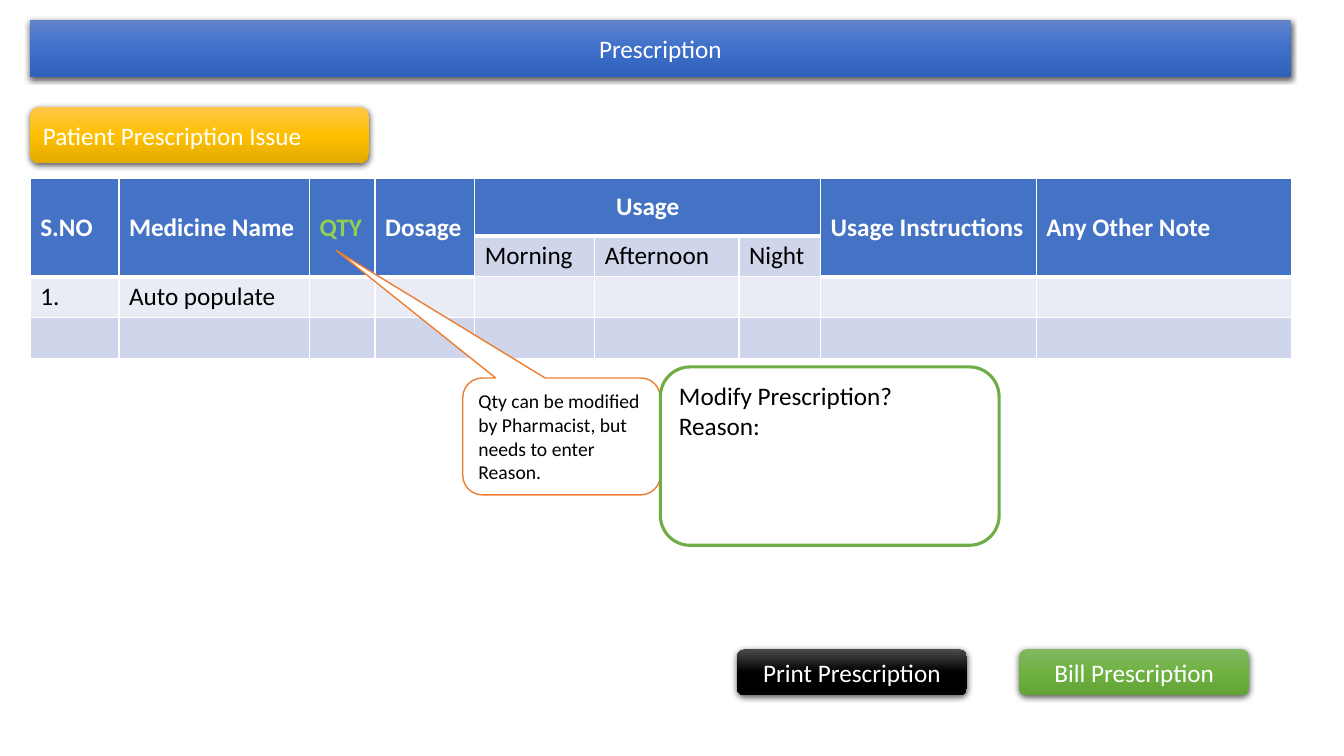
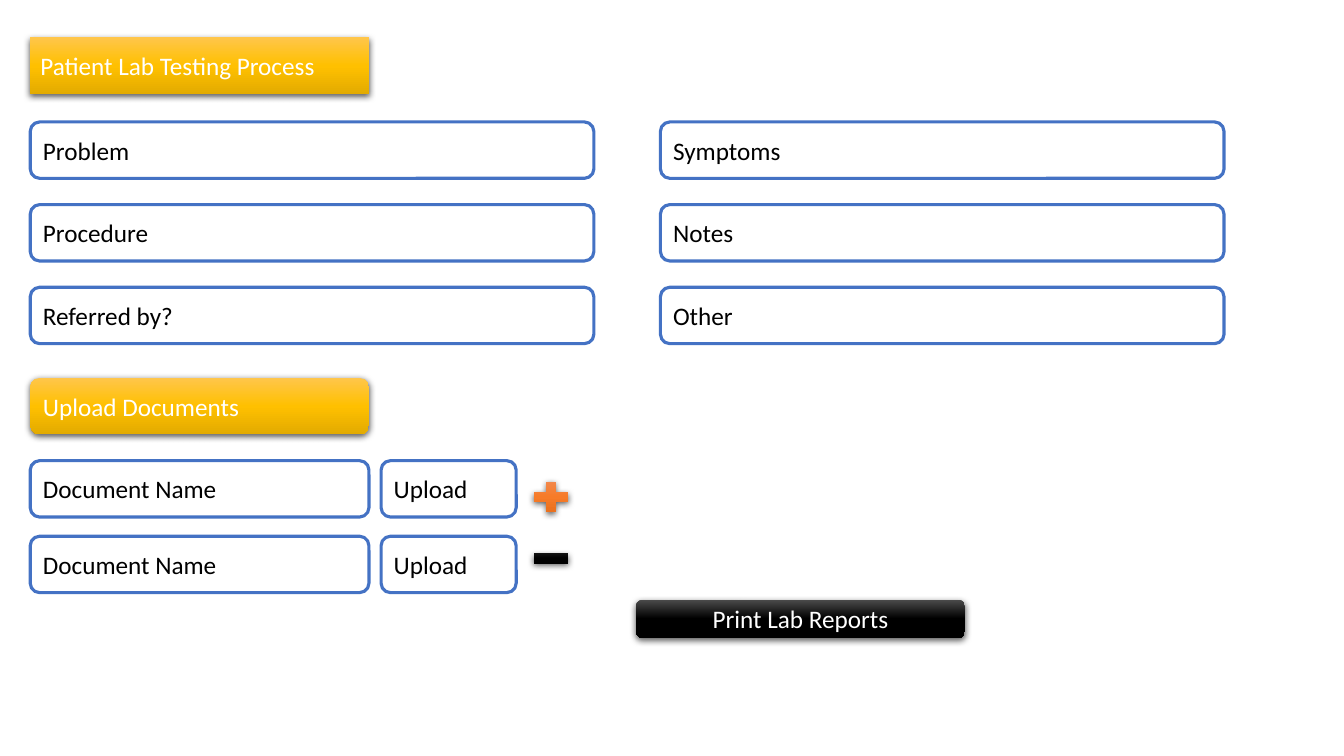
from copy import deepcopy

from lxml import etree
from pptx import Presentation
from pptx.dml.color import RGBColor
from pptx.enum.shapes import MSO_SHAPE
from pptx.enum.text import MSO_ANCHOR, PP_ALIGN
from pptx.oxml import parse_xml
from pptx.oxml.ns import nsdecls, qn
from pptx.util import Inches, Pt

ROUNDED = MSO_SHAPE.ROUNDED_RECTANGLE
CALLOUT = MSO_SHAPE.ROUNDED_RECTANGULAR_CALLOUT
PLUS, MINUS = MSO_SHAPE.MATH_PLUS, MSO_SHAPE.MATH_MINUS
TOP, MIDDLE = MSO_ANCHOR.TOP, MSO_ANCHOR.MIDDLE
LEFT, CENTER = PP_ALIGN.LEFT, PP_ALIGN.CENTER

# Shared look
FONT = "Calibri"
WHITE = RGBColor(0xFF, 0xFF, 0xFF)
BLACK = RGBColor(0x00, 0x00, 0x00)
BLUE = RGBColor(0x44, 0x72, 0xC4)
ORANGE = RGBColor(0xED, 0x7D, 0x31)
GREEN = RGBColor(0x70, 0xAD, 0x47)
LIME = RGBColor(0x92, 0xD0, 0x50)
BAND_DARK = RGBColor(0xCF, 0xD5, 0xEA)
BAND_LIGHT = RGBColor(0xE9, 0xEB, 0xF5)

# Gradients, top to bottom
BLUE_GLOSS = (RGBColor(0x61, 0x83, 0xCB), RGBColor(0x3E, 0x70, 0xCA), RGBColor(0x30, 0x62, 0xBB))
GOLD_GLOSS = (RGBColor(0xFF, 0xC6, 0x4B), RGBColor(0xFF, 0xC0, 0x00), RGBColor(0xE3, 0xAB, 0x00))
GREEN_GLOSS = (RGBColor(0x81, 0xB8, 0x61), RGBColor(0x6F, 0xB2, 0x42), RGBColor(0x62, 0xA3, 0x36))
ORANGE_GLOSS = (RGBColor(0xF1, 0x8C, 0x57), RGBColor(0xF6, 0x7B, 0x28), RGBColor(0xE5, 0x6C, 0x19))
BLACK_GLOSS = (RGBColor(0x4B, 0x4B, 0x4B), BLACK, BLACK)

MARGIN = 0.3
RIGHT_COLUMN = 6.55
BAR_HEIGHT = 0.56
LABEL_WIDTH = 3.36
FIELD_WIDTH = 5.59

# Prescription content
HEADERS = ["S.NO", "Medicine Name", "QTY", "Dosage", "Usage", None, None,
           "Usage Instructions", "Any Other Note"]
USAGE_COLUMNS = {4: "Morning", 5: "Afternoon", 6: "Night"}
FIRST_MEDICINE = {0: "1.", 1: "Auto populate"}
COLUMN_WIDTHS = [0.88, 1.89, 0.65, 0.99, 1.19, 1.43, 0.81, 2.14, 2.53]
ROW_HEIGHTS = [0.57, 0.4, 0.4, 0.4]
QTY_NOTE = "Qty can be modified by Pharmacist, but needs to enter Reason."
REASON_LINES = ["Modify Prescription?", "Reason:"]
BUTTONS = [(7.31, "Print Prescription", BLACK_GLOSS), (10.11, "Bill Prescription", GREEN_GLOSS)]

# Lab testing content
LAB_FIELDS = [("Problem", "Symptoms"), ("Procedure", "Notes"), ("Referred by?", "Other")]
UPLOAD_ROWS = [(PLUS, ORANGE_GLOSS), (MINUS, BLACK_GLOSS)]


def write(frame, lines, color, size=18, align=LEFT, anchor=MIDDLE, bold=False):
    frame.word_wrap = True
    frame.vertical_anchor = anchor
    for index, line in enumerate(lines):
        para = frame.add_paragraph() if index else frame.paragraphs[0]
        para.alignment = align
        span = para.add_run()
        span.text = line
        span.font.name = FONT
        span.font.size = Pt(size)
        span.font.bold = bold
        span.font.color.rgb = color


def add_box(page, kind, left, top, width, height):
    box = page.shapes.add_shape(kind, Inches(left), Inches(top), Inches(width), Inches(height))
    box.shadow.inherit = False
    return box


def gloss(box, colors):
    """Give a box a vertical three-stop gradient and a soft shadow."""
    box.line.fill.background()
    box.fill.gradient()
    box.fill.gradient_angle = 270
    stops = box._element.spPr.find(qn("a:gradFill")).find(qn("a:gsLst"))
    stops.insert(1, deepcopy(stops[0]))
    for index, stop in enumerate(box.fill.gradient_stops):
        stop.position = index / 2
        stop.color.rgb = colors[index]
    box.shadow.inherit = False
    effects = box._element.spPr.find(qn("a:effectLst"))
    effects.append(parse_xml(
        f'<a:outerShdw {nsdecls("a")} blurRad="{Pt(4.5)}" dist="{Pt(1.5)}" dir="5400000" '
        'algn="ctr" rotWithShape="0"><a:srgbClr val="000000"><a:alpha val="63000"/>'
        '</a:srgbClr></a:outerShdw>'))


def glossy_bar(page, text, colors, left, top, width, height=BAR_HEIGHT, align=LEFT):
    bar = add_box(page, ROUNDED, left, top, width, height)
    gloss(bar, colors)
    write(bar.text_frame, [text], WHITE, align=align)


def glossy_title(page, text, colors, top, width, align):
    title = page.shapes.title
    title.left, title.top = Inches(MARGIN), Inches(top)
    title.width, title.height = Inches(width), Inches(BAR_HEIGHT)
    outline = parse_xml(f'<a:prstGeom {nsdecls("a")} prst="roundRect"><a:avLst/></a:prstGeom>')
    title._element.spPr.find(qn("a:xfrm")).addnext(outline)
    gloss(title, colors)
    write(title.text_frame, [text], WHITE, align=align)


def outlined_box(page, lines, left, top, width, height=BAR_HEIGHT, line=BLUE,
                 weight=2.25, kind=ROUNDED, size=18, anchor=MIDDLE):
    box = add_box(page, kind, left, top, width, height)
    box.fill.solid()
    box.fill.fore_color.rgb = WHITE
    box.line.color.rgb = line
    box.line.width = Pt(weight)
    write(box.text_frame, lines, BLACK, size=size, anchor=anchor)
    return box


def style_cell(cell, fill, bottom):
    properties = cell._tc.get_or_add_tcPr()
    for side, weight in (("L", 1), ("R", 1), ("T", 1), ("B", bottom)):
        border = etree.SubElement(properties, qn(f"a:ln{side}"), w=str(Pt(weight)))
        paint = etree.SubElement(border, qn("a:solidFill"))
        etree.SubElement(paint, qn("a:srgbClr"), val=str(WHITE))
    cell.fill.solid()
    cell.fill.fore_color.rgb = fill


def add_medicine_table(page):
    table = page.shapes.add_table(
        len(ROW_HEIGHTS), len(COLUMN_WIDTHS), Inches(MARGIN), Inches(1.77),
        Inches(sum(COLUMN_WIDTHS)), Inches(sum(ROW_HEIGHTS))).table
    for column, width in zip(table.columns, COLUMN_WIDTHS):
        column.width = Inches(width)
    for row, height in zip(table.rows, ROW_HEIGHTS):
        row.height = Inches(height)

    # Fills and borders; headers span two rows except above the usage columns
    bands = [BLUE, BAND_DARK, BAND_LIGHT, BAND_DARK]
    for row, band in enumerate(bands):
        for column in range(len(COLUMN_WIDTHS)):
            header = row == 0 or (row == 1 and column not in USAGE_COLUMNS)
            style_cell(table.cell(row, column), BLUE if header else band, 3 if header else 1)
    for column in range(len(HEADERS)):
        if column not in USAGE_COLUMNS:
            table.cell(0, column).merge(table.cell(1, column))
    table.cell(0, min(USAGE_COLUMNS)).merge(table.cell(0, max(USAGE_COLUMNS)))

    # Text
    for column, header in enumerate(HEADERS):
        if header:
            cell = table.cell(0, column)
            write(cell.text_frame, [header], LIME if header == "QTY" else WHITE,
                  align=CENTER if header == "Usage" else LEFT, bold=True)
            cell.vertical_anchor = MIDDLE
    for row, texts in ((1, USAGE_COLUMNS), (2, FIRST_MEDICINE)):
        for column, text in texts.items():
            write(table.cell(row, column).text_frame, [text], BLACK, anchor=TOP)
            table.cell(row, column).vertical_anchor = TOP


def build_prescription(page):
    glossy_title(page, "Prescription", BLUE_GLOSS, 0.2, 12.5, CENTER)
    glossy_bar(page, "Patient Prescription Issue", GOLD_GLOSS, MARGIN, 1.06, LABEL_WIDTH)
    add_medicine_table(page)

    # Quantity note and reason box
    note = outlined_box(page, [QTY_NOTE], 4.59, 3.75, 1.96, 1.16, line=ORANGE,
                        weight=1, kind=CALLOUT, size=14)
    note.adjustments[0], note.adjustments[1] = -1.14, -1.59
    outlined_box(page, REASON_LINES, RIGHT_COLUMN, 3.64, LABEL_WIDTH, 1.77,
                 line=GREEN, anchor=TOP)

    for left, text, colors in BUTTONS:
        glossy_bar(page, text, colors, left, 6.44, 2.28, 0.46, CENTER)


def build_lab_testing(page):
    glossy_title(page, "Patient Lab Testing Process", GOLD_GLOSS, 0.37, LABEL_WIDTH, LEFT)
    for row, names in enumerate(LAB_FIELDS):
        for left, name in zip((MARGIN, RIGHT_COLUMN), names):
            outlined_box(page, [name], left, 1.21 + 0.82 * row, FIELD_WIDTH)

    # Document uploads
    glossy_bar(page, "Upload Documents", GOLD_GLOSS, MARGIN, 3.75, LABEL_WIDTH)
    for row, (sign, colors) in enumerate(UPLOAD_ROWS):
        top = 4.57 + 0.75 * row
        outlined_box(page, ["Document Name"], MARGIN, top, LABEL_WIDTH)
        outlined_box(page, ["Upload"], 3.78, top, 1.34)
        gloss(add_box(page, sign, 5.23, 4.73 + 0.61 * row, 0.47, 0.4), colors)

    glossy_bar(page, "Print Lab Reports", BLACK_GLOSS, 6.31, 5.95, 3.26, 0.38, CENTER)


def main():
    deck = Presentation()
    deck.slide_width, deck.slide_height = Inches(13.33), Inches(7.5)
    title_only = deck.slide_layouts[5]
    for build in (build_prescription, build_lab_testing):
        build(deck.slides.add_slide(title_only))
    deck.save("out.pptx")


if __name__ == "__main__":
    main()
